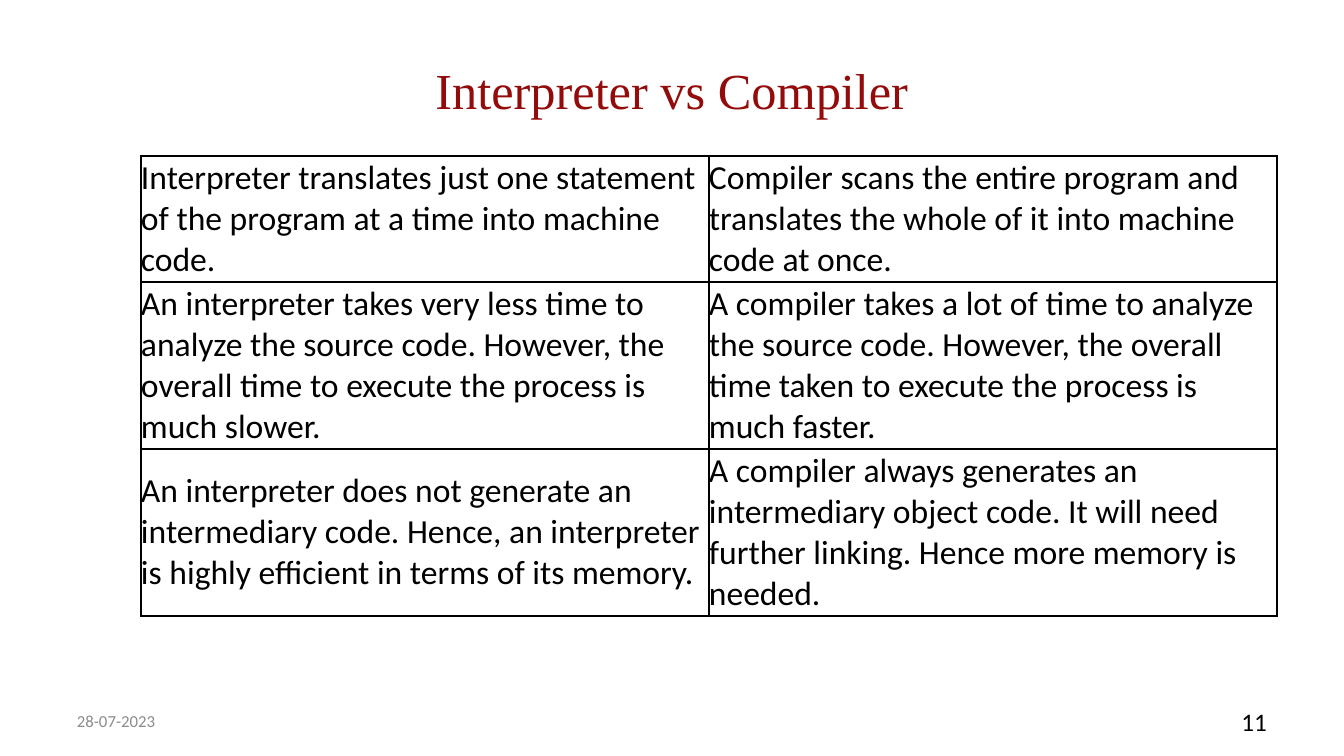
from pptx import Presentation
from pptx.dml.color import RGBColor as Color
from pptx.enum.text import MSO_ANCHOR as Anchor, PP_ALIGN as Align
from pptx.oxml.ns import qn
from pptx.util import Emu, Pt
from lxml.etree import SubElement

PX = 914400 / 100.8
COLORS = {"title": "930B0B", "text": "000000", "date": "8C8C8C", "border": "000000"}
COMPARISON = [
    ("Interpreter translates just one statement of the program at a time into machine code.",
     "Compiler scans the entire program and translates the whole of it into machine code at once."),
    ("An interpreter takes very less time to analyze the source code. However, "
     "the overall time to execute the process is much slower.",
     "A compiler takes a lot of time to analyze the source code. However, "
     "the overall time taken to execute the process is much faster."),
    ("An interpreter does not generate an intermediary code. Hence, "
     "an interpreter is highly efficient in terms of its memory.",
     "A compiler always generates an intermediary object code. It will need "
     "further linking. Hence more memory is needed."),
]
ROW_HEIGHTS = [126, 167, 167]


def px(length):
    return Emu(round(length * PX))


def write(frame, text, size, color, align=Align.LEFT, font="Calibri", spacing=1.0):
    frame.word_wrap = True
    para = frame.paragraphs[0]
    para.alignment = align
    para.line_spacing = spacing
    span = para.add_run()
    span.text = text
    for name, value in {"name": font, "size": Pt(size), "bold": False}.items():
        setattr(span.font, name, value)
    span.font.color.rgb = Color.from_string(COLORS[color])


def add_title(page, box, text):
    title = page.shapes.title
    for name, length in zip(("left", "top", "width", "height"), box):
        setattr(title, name, px(length))
    title.text_frame.vertical_anchor = Anchor.MIDDLE
    write(title.text_frame, text, 36, "title", Align.CENTER, "Times New Roman", 0.9)


def format_cell(cell):
    for side in ("left", "right", "top", "bottom"):
        setattr(cell, f"margin_{side}", 0)
    cell.vertical_anchor = Anchor.MIDDLE
    # Borders come before the fill in the cell properties
    properties = cell._tc.get_or_add_tcPr()
    for tag in ("a:lnL", "a:lnR", "a:lnT", "a:lnB"):
        line = SubElement(properties, qn(tag), w=str(Pt(1)))
        solid = SubElement(line, qn("a:solidFill"))
        SubElement(solid, qn("a:srgbClr"), val=COLORS["border"])
    cell.fill.background()


def add_comparison(page, box, rows):
    frame = page.shapes.add_table(len(rows), len(rows[0]), *map(px, box))
    table = frame.table
    table.first_row = table.horz_banding = False
    for column in table.columns:
        column.width = px(box[2] // len(rows[0]))
    for row, height, texts in zip(table.rows, ROW_HEIGHTS, rows):
        row.height = px(height)
        for cell, text in zip(row.cells, texts):
            format_cell(cell)
            write(cell.text_frame, text, 24, "text")


def add_footer(page, box, date, number):
    left, top, width, height = box
    part_width = 314
    parts = [
        (left, date, 12, "date", Align.LEFT),
        (left + width - part_width, number, 18, "text", Align.RIGHT),
    ]
    for part_left, text, size, color, align in parts:
        label = page.shapes.add_textbox(*map(px, (part_left, top, part_width, height)))
        label.text_frame.vertical_anchor = Anchor.MIDDLE
        write(label.text_frame, text, size, color, align)


def main():
    deck = Presentation()
    deck.slide_width, deck.slide_height = px(1344), px(756)
    page = deck.slides.add_slide(deck.slide_layouts[5])
    # Heading
    add_title(page, (67, 30, 1210, 126), "Interpreter vs Compiler")
    # Comparison table
    add_comparison(page, (141, 156, 1136, sum(ROW_HEIGHTS)), COMPARISON)
    # Date and page number
    add_footer(page, (67, 701, 1210, 40), "28-07-2023", "11")
    deck.save("out.pptx")


if __name__ == "__main__":
    main()
